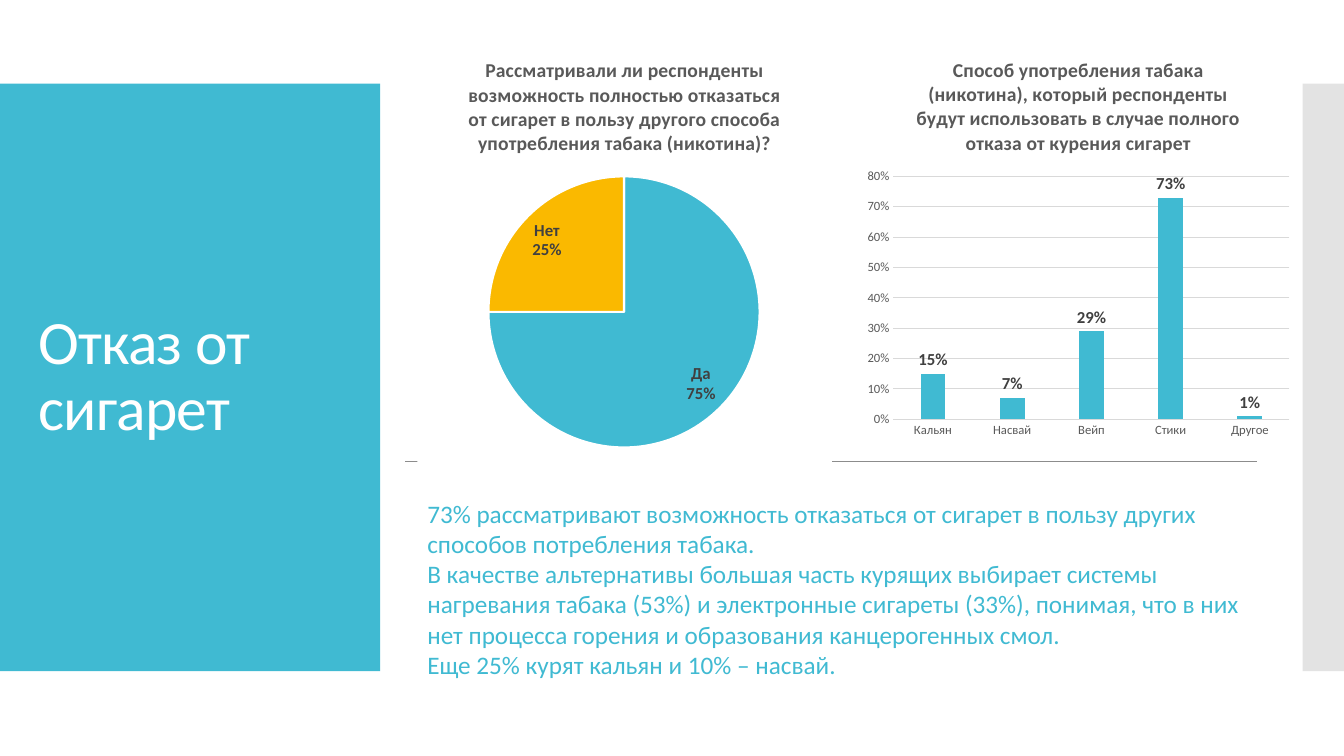
from dataclasses import dataclass

from lxml.etree import SubElement
from pptx import Presentation
from pptx.chart.chart import Chart
from pptx.chart.data import CategoryChartData
from pptx.dml.color import RGBColor
from pptx.enum.chart import XL_CHART_TYPE, XL_LABEL_POSITION, XL_TICK_MARK
from pptx.enum.shapes import MSO_CONNECTOR, MSO_SHAPE
from pptx.enum.text import MSO_ANCHOR
from pptx.oxml import parse_xml
from pptx.oxml.ns import nsdecls, qn
from pptx.slide import Slide
from pptx.text.text import Font
from pptx.util import Inches, Pt


@dataclass(frozen=True)
class Theme:
    font: str = "Calibri"
    accent: str = "40BAD2"
    second: str = "FAB900"
    white: str = "FFFFFF"
    side: str = "C8C8C8"
    rule: str = "8C8C8C"
    grid: str = "D9D9D9"
    muted: str = "595959"
    label: str = "404040"
    title_size: int = 44
    body_size: int = 18
    chart_title_size: int = 14
    label_size: int = 12
    chart_size: int = 10
    axis_size: int = 9


@dataclass(frozen=True)
class Box:
    left: float
    top: float
    width: float
    height: float

    def lengths(self) -> tuple:
        return tuple(Inches(n) for n in (self.left, self.top, self.width, self.height))


@dataclass(frozen=True)
class Panel:
    box: Box
    color: str
    opacity: int


@dataclass(frozen=True)
class Survey:
    kind: XL_CHART_TYPE
    question: str
    answers: dict[str, float]
    box: Box
    plot: Box
    number_format: str
    label_position: XL_LABEL_POSITION


THEME = Theme()
PANELS = (
    Panel(Box(0, 0.83, 3.77, 5.83), THEME.accent, 100),
    Panel(Box(12.92, 0.83, 0.41, 5.83), THEME.side, 50),
)
QUITTING = Survey(
    XL_CHART_TYPE.PIE,
    "Рассматривали ли респонденты возможность полностью отказаться от сигарет "
    "в пользу другого способа употребления табака (никотина)?",
    {"Да": 75, "Нет": 25},
    Box(4.14, 0.39, 4.11, 4.2), Box(4.84, 1.75, 2.7, 2.69),
    "General", XL_LABEL_POSITION.INSIDE_END,
)
ALTERNATIVES = Survey(
    XL_CHART_TYPE.COLUMN_CLUSTERED,
    "Способ употребления табака (никотина), который респонденты будут "
    "использовать в случае полного отказа от курения сигарет",
    {"Кальян": 0.15, "Насвай": 0.07, "Вейп": 0.29, "Стики": 0.73, "Другое": 0.01},
    Box(8.52, 0.39, 4.35, 4.04), Box(8.86, 1.75, 3.93, 2.41),
    "0%", XL_LABEL_POSITION.OUTSIDE_END,
)
FINDINGS = (
    "73% рассматривают возможность отказаться от сигарет в пользу других "
    "способов потребления табака.",
    "В качестве альтернативы большая часть курящих выбирает системы нагревания "
    "табака (53%) и электронные сигареты (33%), понимая, что в них нет процесса "
    "горения и образования канцерогенных смол.",
    "Еще 25% курят кальян и 10% – насвай.",
)


def rgb(color: str) -> RGBColor:
    return RGBColor.from_string(color)


def style_font(font: Font, size: int, color: str, bold: bool = False) -> None:
    font.name, font.size, font.bold = THEME.font, Pt(size), bold
    font.color.rgb = rgb(color)


def add_panel(slide: Slide, panel: Panel) -> None:
    band = slide.shapes.add_shape(MSO_SHAPE.RECTANGLE, *panel.box.lengths())
    band.shadow.inherit = False
    band.line.fill.background()
    band.fill.solid()
    band.fill.fore_color.rgb = rgb(panel.color)
    if panel.opacity < 100:
        color = band.element.spPr.find(f"{qn('a:solidFill')}/{qn('a:srgbClr')}")
        SubElement(color, qn("a:alpha"), val=str(panel.opacity * 1000))


def add_heading(slide: Slide, text: str, box: Box) -> None:
    heading = slide.shapes.title
    heading.left, heading.top, heading.width, heading.height = box.lengths()
    heading.element.getparent().append(heading.element)  # in front of the panels
    frame = heading.text_frame
    frame.text = text
    frame.word_wrap = True
    frame.vertical_anchor = MSO_ANCHOR.MIDDLE
    line = frame.paragraphs[0]
    line.alignment = 1
    line.line_spacing = 0.9
    style_font(line.font, THEME.title_size, THEME.white)
    line.runs[0].font._element.set("spc", "-60")


def add_rule(slide: Slide, left: float, right: float, top: float) -> None:
    rule = slide.shapes.add_connector(
        MSO_CONNECTOR.STRAIGHT, Inches(left), Inches(top), Inches(right), Inches(top))
    rule.line.color.rgb = rgb(THEME.rule)
    rule.line.width = Pt(0.75)
    SubElement(rule.element.spPr, qn("a:effectLst"))


def place_plot(chart: Chart, survey: Survey) -> None:
    """Fix the inner plot area and give the chart a white ground."""
    box, plot = survey.box, survey.plot
    fractions = {
        "x": (plot.left - box.left) / box.width, "y": (plot.top - box.top) / box.height,
        "w": plot.width / box.width, "h": plot.height / box.height,
    }
    values = "".join(f'<c:{key} val="{part:.4f}"/>' for key, part in fractions.items())
    area = chart._chartSpace.chart.plotArea
    for old in area.findall(qn("c:layout")):
        area.remove(old)
    area.insert(0, parse_xml(
        f'<c:layout {nsdecls("c")}><c:manualLayout><c:layoutTarget val="inner"/>'
        f'<c:xMode val="edge"/><c:yMode val="edge"/>{values}</c:manualLayout></c:layout>'))
    chart._chartSpace.chart.addnext(parse_xml(
        f'<c:spPr {nsdecls("c", "a")}><a:solidFill><a:srgbClr val="{THEME.white}"/>'
        '</a:solidFill><a:ln><a:noFill/></a:ln></c:spPr>'))


def add_survey(slide: Slide, survey: Survey) -> Chart:
    data = CategoryChartData(number_format=survey.number_format)
    data.categories = list(survey.answers)
    data.add_series("Series 1", list(survey.answers.values()))
    chart = slide.shapes.add_chart(survey.kind, *survey.box.lengths(), data).chart
    style_font(chart.font, THEME.chart_size, THEME.muted)
    chart.has_legend = False
    question = chart.chart_title.text_frame
    question.text = survey.question
    style_font(question.paragraphs[0].font, THEME.chart_title_size, THEME.muted, True)
    plot = chart.plots[0]
    plot.has_data_labels = True
    style_font(plot.data_labels.font, THEME.label_size, THEME.label, True)
    plot.data_labels.position = survey.label_position
    place_plot(chart, survey)
    return chart


def format_pie(chart: Chart) -> None:
    plot = chart.plots[0]
    plot.vary_by_categories = True
    for index, color in enumerate((THEME.accent, THEME.second)):
        slice_format = plot.series[0].points[index].format
        slice_format.fill.solid()
        slice_format.fill.fore_color.rgb = rgb(color)
        slice_format.line.color.rgb = rgb(THEME.white)
        slice_format.line.width = Pt(1.5)
    labels = plot.data_labels
    labels.show_value = False
    labels.show_category_name = labels.show_percentage = True
    separator = parse_xml(f'<c:separator {nsdecls("c")}>\n</c:separator>')
    labels._element.find(qn("c:showBubbleSize")).addnext(separator)


def format_columns(chart: Chart) -> None:
    plot = chart.plots[0]
    plot.vary_by_categories = False
    plot.gap_width, plot.overlap = 219, -27
    plot.data_labels.show_value = True
    plot.series[0].format.fill.solid()
    plot.series[0].format.fill.fore_color.rgb = rgb(THEME.accent)
    names, shares = chart.category_axis, chart.value_axis
    for axis in (names, shares):
        axis.major_tick_mark = axis.minor_tick_mark = XL_TICK_MARK.NONE
        style_font(axis.tick_labels.font, THEME.axis_size, THEME.muted)
    shares.minimum_scale, shares.maximum_scale, shares.major_unit = 0, 0.8, 0.1
    shares.format.line.fill.background()
    for line in (names.format.line, shares.major_gridlines.format.line):
        line.color.rgb = rgb(THEME.grid)
        line.width = Pt(0.75)


def add_findings(slide: Slide, findings: tuple[str, ...], box: Box) -> None:
    frame = slide.shapes.add_textbox(*box.lengths()).text_frame
    frame.word_wrap = True
    frame.text = "\n".join(findings)
    for finding in frame.paragraphs:
        style_font(finding.font, THEME.body_size, THEME.accent)


def main() -> None:
    deck = Presentation()
    deck.slide_width, deck.slide_height = Inches(13.33), Inches(7.5)
    slide = deck.slides.add_slide(deck.slide_layouts[5])
    # Side panels and heading
    for panel in PANELS:
        add_panel(slide, panel)
    add_heading(slide, "Отказ от сигарет", Box(0.28, 1.23, 3.22, 5.03))
    # Charts over the rule
    add_rule(slide, 4.02, 12.47, 4.58)
    format_pie(add_survey(slide, QUITTING))
    format_columns(add_survey(slide, ALTERNATIVES))
    # Findings
    add_findings(slide, FINDINGS, Box(4.14, 4.89, 8.47, 2.22))
    deck.save("out.pptx")


if __name__ == "__main__":
    main()
